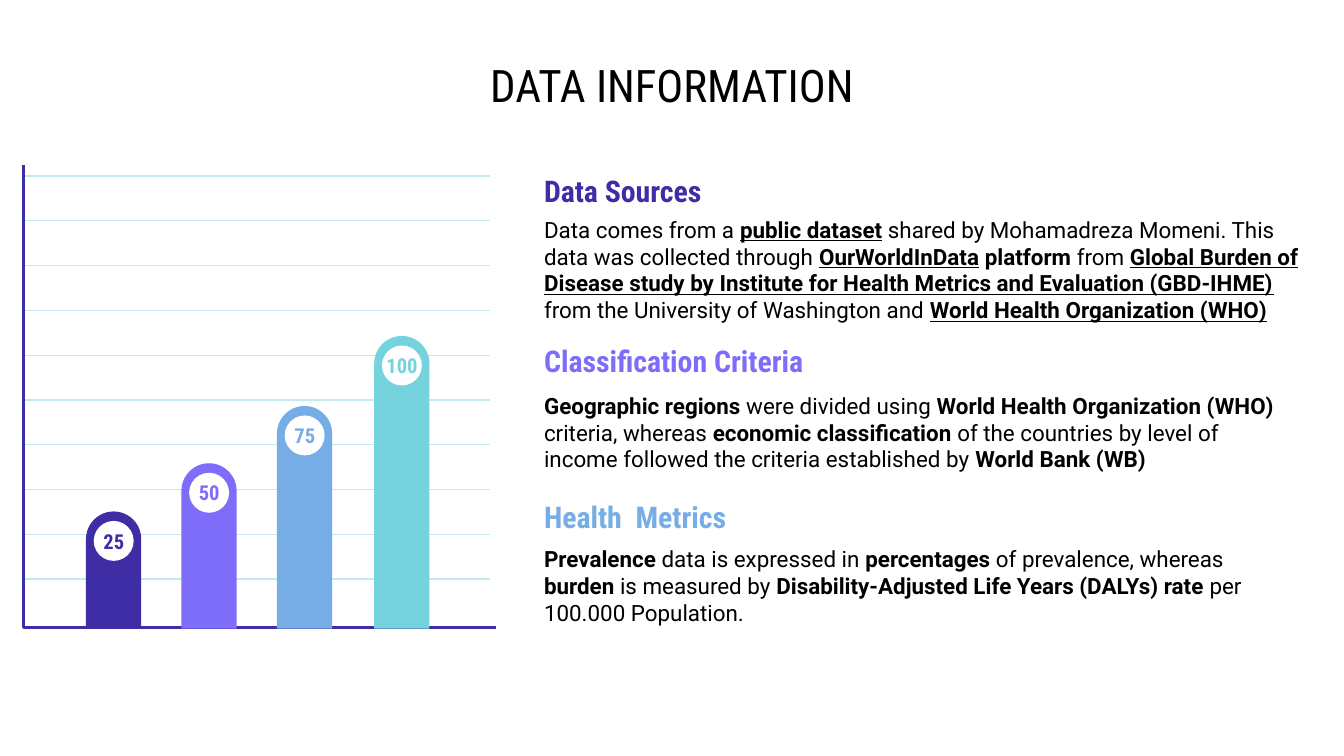
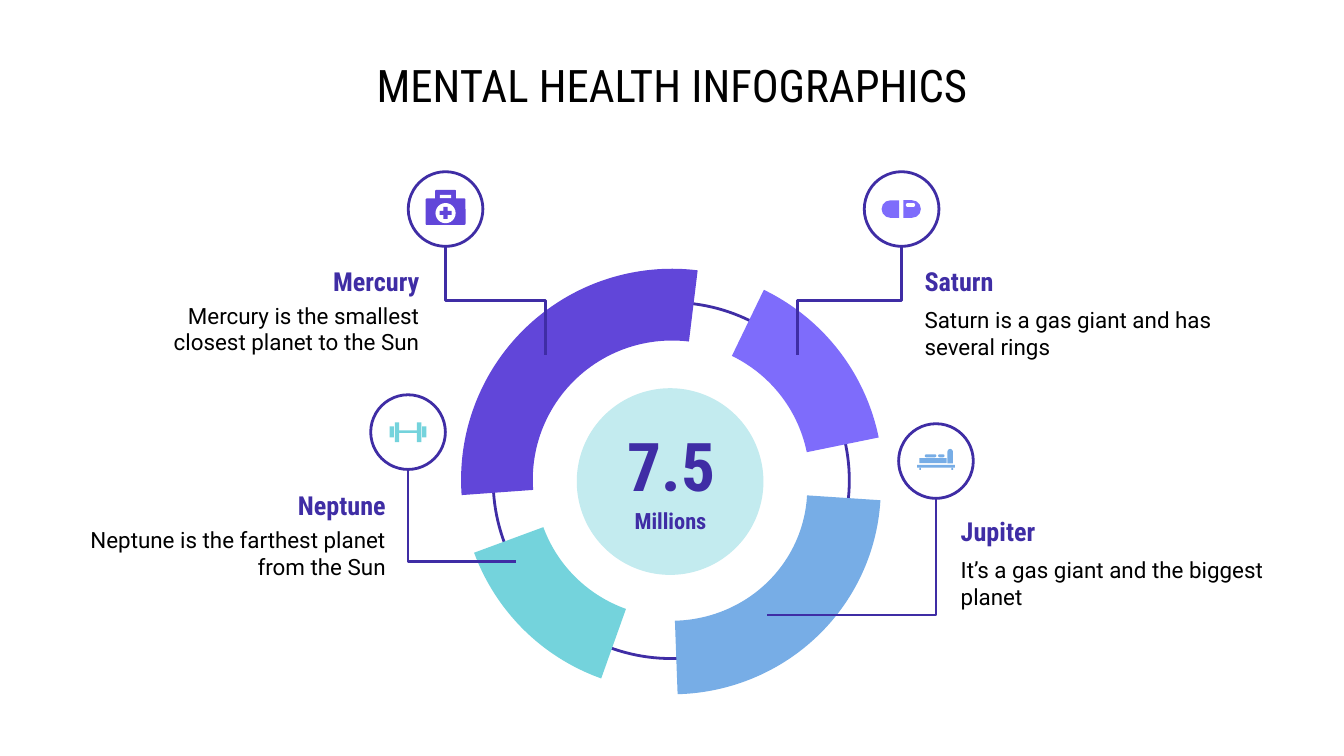
import pptx
import pptx.util
import pptx.dml.color
import pptx.enum.shapes
import pptx.enum.text
from lxml import etree

Pt = pptx.util.Pt
KIND = pptx.enum.shapes.MSO_SHAPE
LINK = pptx.enum.shapes.MSO_CONNECTOR
ALIGN = pptx.enum.text.PP_ALIGN
SIDES = {"l": ALIGN.LEFT, "c": ALIGN.CENTER, "r": ALIGN.RIGHT}

COLORS = {
    "ink": "000000", "white": "FFFFFF", "navy": "3F2DA5", "purple": "6146D9",
    "violet": "7E6CFB", "blue": "77ADE6", "teal": "74D3DC", "pale": "C3EBEF",
}
HEAD, BODY = "Roboto Condensed", "Roboto"
RULE = 1.5

# left, top, color, value
BARS = [
    (46.1, 274, "navy", "25"),
    (97.2, 248.2, "violet", "50"),
    (148.4, 217.5, "blue", "75"),
    (200.5, 180, "teal", "100"),
]
BASE, WIDE = 336.8, 29.6

# heading, color, heading top, body top, body width, runs (b bold, u bold underlined)
NOTES = [
    ("Data Sources", "navy", 92.9, 128.2, 420.5, [
        ("Data comes from a ", ""), ("public dataset", "u"),
        (" shared by Mohamadreza Momeni. This data was collected through ", ""),
        ("OurWorldInData", "u"), (" platform ", "b"), ("from ", ""),
        ("Global Burden of Disease study by Institute for Health Metrics "
         "and Evaluation (GBD-IHME)", "u"),
        (" ", "b"), ("from the University of Washington and ", ""),
        ("World Health Organization (WHO)", "u")]),
    ("Classification Criteria", "violet", 184.3, 215.3, 415.4, [
        ("Geographic regions ", "b"), ("were divided using ", ""),
        ("World Health Organization (WHO) ", "b"), ("criteria, whereas ", ""),
        ("economic classification", "b"),
        (" of the countries by level of income followed the criteria "
         "established by ", ""),
        ("World Bank (WB)", "b")]),
    ("Health  Metrics", "blue", 268, 297.4, 393.8, [
        ("Prevalence", "b"), (" data is expressed in ", ""),
        ("percentages", "b"), (" of prevalence, whereas ", ""),
        ("burden ", "b"), ("is measured by ", ""),
        ("Disability-Adjusted Life Years (DALYs) rate ", "b"),
        ("per 100.000 Population.", "")]),
]

# Icon parts: shape, box around the disc centre, color (None: icon color), turn, adjusts
KIT = [
    (KIND.ROUNDED_RECTANGLE, (-5.6, -10.2, 11.2, 6), None, 0, [0.1]),
    (KIND.RECTANGLE, (-3, -7.6, 6, 1.9), "white", 0, []),
    (KIND.ROUNDED_RECTANGLE, (-10.7, -5.7, 21.4, 14.2), None, 0, [0.05]),
    (KIND.OVAL, (-5.4, -3.2, 10.8, 10.8), "white", 0, []),
    (KIND.CROSS, (-3.2, -1.1, 6.4, 6.4), None, 0, [0.33]),
]
PILL = [
    (KIND.ROUND_2_SAME_RECTANGLE, (-10.7, -4.7, 9.4, 9.4), None, 270, [0.5, 0]),
    (KIND.ROUND_2_SAME_RECTANGLE, (0.9, -4.7, 9.4, 9.4), None, 90, [0.5, 0]),
    (KIND.ROUNDED_RECTANGLE, (2.3, -3.2, 5, 2.1), "white", 0, [0.5]),
]
WEIGHT = [(KIND.RECTANGLE, box, None, 0, []) for box in (
    (-4.8, -0.9, 9.6, 1.4),
    (-7.1, -5.2, 2.4, 10.6), (4.7, -5.2, 2.4, 10.6),
    (-9.8, -3.1, 2.2, 6), (7.6, -3.1, 2.2, 6))]
BED = [(KIND.RECTANGLE, box, None, 0, []) for box in (
    (-8.9, -1.5, 14.6, 2.6), (-10.1, 2.1, 20.2, 1.5),
    (-8.9, 3.6, 0.9, 1.2), (8.3, 3.6, 0.9, 1.2))]
BED += [(KIND.ROUNDED_RECTANGLE, box, None, 0, [0.5]) for box in (
    (1.2, -3.6, 3.4, 1.6), (-6, -3.6, 6.2, 1.6))]
BED.append((KIND.ROUND_2_SAME_RECTANGLE, (6.2, -6.5, 2.9, 7.8), None, 0, [0.5, 0]))

# name, text, side, text edge, heading top, disc centre, line end, bend, icon, color
PLANETS = [
    ("Mercury", "Mercury is the smallest closest planet to the Sun", "r",
     231.8, 141.1, (238.7, 112), (292.3, 190), 3, KIT, "purple"),
    ("Saturn", "Saturn is a gas giant and has several rings", "l",
     488.2, 141.1, (483, 112), (427.4, 190), 3, PILL, "violet"),
    ("Neptune", "Neptune is the farthest planet from the Sun", "r",
     213.8, 261.4, (218.6, 231.5), (276.5, 301), 2, WEIGHT, "teal"),
    ("Jupiter", "It’s a gas giant and the biggest planet", "l",
     507.6, 275.2, (501.4, 247), (411.1, 329.5), 2, BED, "blue"),
]

# box, turn, adjusts, color
ARCS = [
    ((247, 144, 226, 226), 285, (150.485, 211.189, 0.17), "purple"),
    ((247, 144, 226, 226), 45, (150.485, 182.067, 0.174), "violet"),
    ((247, 144, 226, 226), 210, (155.769, 185.861, 0.175), "teal"),
    ((247.7, 147.6, 222.5, 226), 105, (155.251, 205.753, 0.177), "blue"),
]


def tint(name):
    return pptx.dml.color.RGBColor.from_string(COLORS[name])


def pts(vals):
    return [Pt(val) for val in vals]


def write(frame, runs, size, font, color, side="l", bold=None):
    frame.word_wrap = True
    frame.auto_size = pptx.enum.text.MSO_AUTO_SIZE.NONE
    frame.vertical_anchor = pptx.enum.text.MSO_ANCHOR.MIDDLE
    frame.margin_left = frame.margin_right = Pt(7.2)
    frame.margin_top = frame.margin_bottom = Pt(7.2)
    para = frame.paragraphs[0]
    para.alignment = SIDES[side]
    para.font.size = Pt(size)
    para.font.name = font
    para.font.color.rgb = tint(color)
    if bold is not None:
        para.font.bold = bold
    for words, mark in runs:
        run = para.add_run()
        run.text = words
        if mark:
            run.font.bold = True
        if mark == "u":
            run.font.underline = True


def label(slide, box, words, size, color, side="l"):
    frame = slide.shapes.add_textbox(*pts(box)).text_frame
    write(frame, [(words, "")], size, HEAD, color, side, True)


def prose(slide, box, runs, side="l"):
    frame = slide.shapes.add_textbox(*pts(box)).text_frame
    write(frame, runs, 12, BODY, "ink", side)


def paint(shape, fill=None, line=None):
    shape.shadow.inherit = False
    if fill:
        shape.fill.solid()
        shape.fill.fore_color.rgb = tint(fill)
    else:
        shape.fill.background()
    if line:
        shape.line.color.rgb = tint(line)
        shape.line.width = Pt(RULE)
    else:
        shape.line.fill.background()


def draw(slide, kind, box, fill=None, line=None, turn=0, adjusts=()):
    shape = slide.shapes.add_shape(kind, *pts(box))
    shape.rotation = turn
    for spot, val in enumerate(adjusts):
        shape.adjustments[spot] = val
    paint(shape, fill, line)


def link(slide, kind, start, end, color, width):
    line = slide.shapes.add_connector(kind, *pts(start + end))
    line.line.color.rgb = tint(color)
    line.line.width = Pt(width)
    props = line._element.spPr
    etree.SubElement(props, pptx.oxml.ns.qn("a:effectLst"))
    return props


def elbow(slide, start, end, bend):
    """Bent line that leaves start downwards; its box is turned a quarter."""
    wide, high = abs(end[1] - start[1]), abs(end[0] - start[0])
    left = (start[0] + end[0] - wide) / 2
    top = (start[1] + end[1] - high) / 2
    props = link(slide, LINK.ELBOW, (left, top), (left + wide, top + high), "navy", RULE)
    right = end[0] > start[0]
    props.xfrm.set("rot", str((270 if right else 90) * 60000))
    if right:
        props.xfrm.set("flipH", "1")
    props.find(pptx.oxml.ns.qn("a:prstGeom")).set("prst", f"bentConnector{bend}")


def page(deck, words):
    slide = deck.slides.add_slide(deck.slide_layouts[5])
    title = slide.shapes.title
    title.left, title.top, title.width, title.height = pts((36, 32.6, 648, 25.8))
    write(title.text_frame, [(words, "")], 24, HEAD, "ink", "c")
    return slide


def grid(slide):
    for row in range(10):
        y = 94.3 + 24 * row
        link(slide, LINK.STRAIGHT, (12.6, y), (262.6, y), "pale", 0.75)
    pen = slide.shapes.build_freeform(Pt(12.7), Pt(88.6), scale=1.0)
    pen.add_line_segments([pts((12.7, 336.4)), pts((265.9, 336.4))], close=False)
    paint(pen.convert_to_shape(), line="navy")


def bar(slide, left, top, color, value):
    draw(slide, KIND.ROUND_2_SAME_RECTANGLE, (left, top, WIDE, BASE - top),
         color, adjusts=(0.5, 0))
    draw(slide, KIND.OVAL, (left + 4.1, top + 5.1, 21.4, 21.4), "white")
    label(slide, (left - 3.5, top + 6.1, 36.7, 19.4), value, 11, color, "c")


def note(slide, head, color, top, below, wide, runs):
    label(slide, (284.4, top, 154.1, 18), head, 16, color)
    prose(slide, (284.4, below, wide, 32.4), runs)


def planet(slide, name, words, side, edge, top, mid, end, bend, icon, color):
    def place(wide):
        return edge - wide if side == "r" else edge

    gap = 18.7 if side == "r" else 20.9
    label(slide, (place(108.7), top, 108.7, 18.7), name, 14, "navy", side)
    prose(slide, (place(176.4), top + gap, 176.4, 32.4), [(words, "")], side)
    x, y = mid
    draw(slide, KIND.OVAL, (x - 20, y - 20, 40, 40), line="navy")
    for kind, (left, rise, wide, high), fill, turn, adjusts in icon:
        draw(slide, kind, (x + left, y + rise, wide, high), fill or color,
             turn=turn, adjusts=adjusts)
    elbow(slide, (x, y + 20), end, bend)


def main():
    deck = pptx.Presentation()
    deck.slide_width, deck.slide_height = Pt(720), Pt(405)

    slide = page(deck, "DATA INFORMATION")
    grid(slide)
    for item in NOTES:
        note(slide, *item)
    for item in BARS:
        bar(slide, *item)

    slide = page(deck, "MENTAL HEALTH INFOGRAPHICS")
    draw(slide, KIND.OVAL, (309, 208, 100, 100), "pale")
    draw(slide, KIND.OVAL, (264.2, 162, 190.8, 190.8), line="navy")
    label(slide, (316.1, 229.7, 87.1, 38.9), "7.5", 36, "navy", "c")
    label(slide, (323.3, 270.7, 72, 15.8), "Millions", 12, "navy", "c")
    for box, turn, adjusts, color in ARCS:
        draw(slide, KIND.BLOCK_ARC, box, color, turn=turn, adjusts=adjusts)
    for item in PLANETS:
        planet(slide, *item)

    deck.save("out.pptx")


if __name__ == "__main__":
    main()
